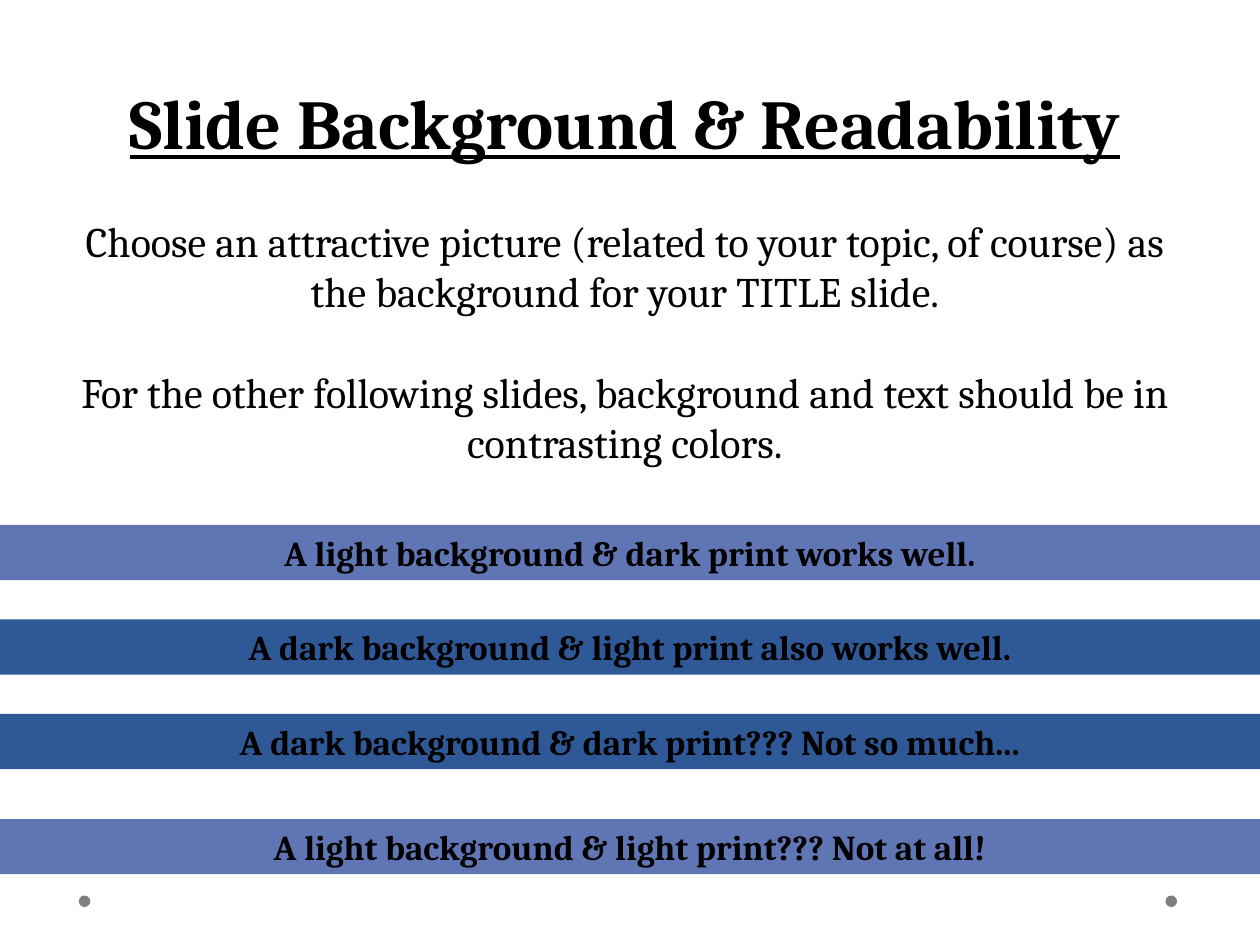
from pptx import Presentation
from pptx.dml.color import RGBColor
from pptx.enum.shapes import MSO_SHAPE
from pptx.enum.text import MSO_ANCHOR, MSO_AUTO_SIZE, PP_ALIGN
from pptx.util import Pt

FONT = "Cambria"
BLACK, GREY = "000000", "7F7F7F"
LIGHT_BLUE, DARK_BLUE = "6076B4", "2F5897"
LEFT, WIDTH = 24, 666


def color(value):
    return RGBColor.from_string(value)


def place(shape, left, top, width, height):
    shape.left, shape.top = Pt(left), Pt(top)
    shape.width, shape.height = Pt(width), Pt(height)


def write(shape, paragraphs, size, bold=False, underline=False, gap=0,
          anchor=MSO_ANCHOR.TOP):
    """Fill a shape with centred paragraphs, set apart by gap."""
    frame = shape.text_frame
    frame.word_wrap = True
    frame.auto_size = MSO_AUTO_SIZE.NONE
    frame.vertical_anchor = anchor
    for index, text in enumerate(paragraphs):
        para = frame.add_paragraph() if index else frame.paragraphs[0]
        para.alignment = PP_ALIGN.CENTER
        para.space_before = Pt(gap if index else 0)
        span = para.add_run()
        span.text = text
        font = span.font
        font.name, font.size = FONT, Pt(size)
        font.bold, font.underline = bold, underline
        font.color.rgb = color(BLACK)


def add_solid(page, kind, left, top, width, height, fill):
    shape = page.shapes.add_shape(kind, Pt(left), Pt(top), Pt(width), Pt(height))
    shape.shadow.inherit = False
    shape.fill.solid()
    shape.fill.fore_color.rgb = color(fill)
    shape.line.fill.background()
    return shape


def add_bar(page, top, fill, text):
    bar = add_solid(page, MSO_SHAPE.RECTANGLE, -12, top, 744, 31.5, fill)
    write(bar, [text], 20, bold=True)


def main():
    deck = Presentation()
    deck.slide_width, deck.slide_height = Pt(720), Pt(540)
    page = deck.slides.add_slide(deck.slide_layouts[5])

    # Corner dots
    for left in (666, 45):
        add_solid(page, MSO_SHAPE.OVAL, left, 511.7, 6.6, 6.6, GREY)

    # Title
    title = page.shapes.title
    place(title, LEFT, 42, WIDTH, 55.5)
    write(title, ["Slide Background & Readability"], 40, bold=True, underline=True)

    # Advice
    box = page.shapes.add_textbox(Pt(LEFT), Pt(119.5), Pt(WIDTH), Pt(151))
    write(box, [
        "Choose an attractive picture (related to your topic, of course) as "
        "the background for your TITLE slide.",
        "For the other following slides, background and text should be in "
        "contrasting colors.",
    ], 24, gap=28.8, anchor=MSO_ANCHOR.MIDDLE)

    # Contrast examples
    for top, fill, text in (
        (300, LIGHT_BLUE, "A light background & dark print works well."),
        (354, DARK_BLUE, "A dark background & light print also works well."),
        (408, DARK_BLUE, "A dark background & dark print??? Not so much..."),
        (468, LIGHT_BLUE, "A light background & light print??? Not at all!"),
    ):
        add_bar(page, top, fill, text)

    deck.save("out.pptx")


if __name__ == "__main__":
    main()
